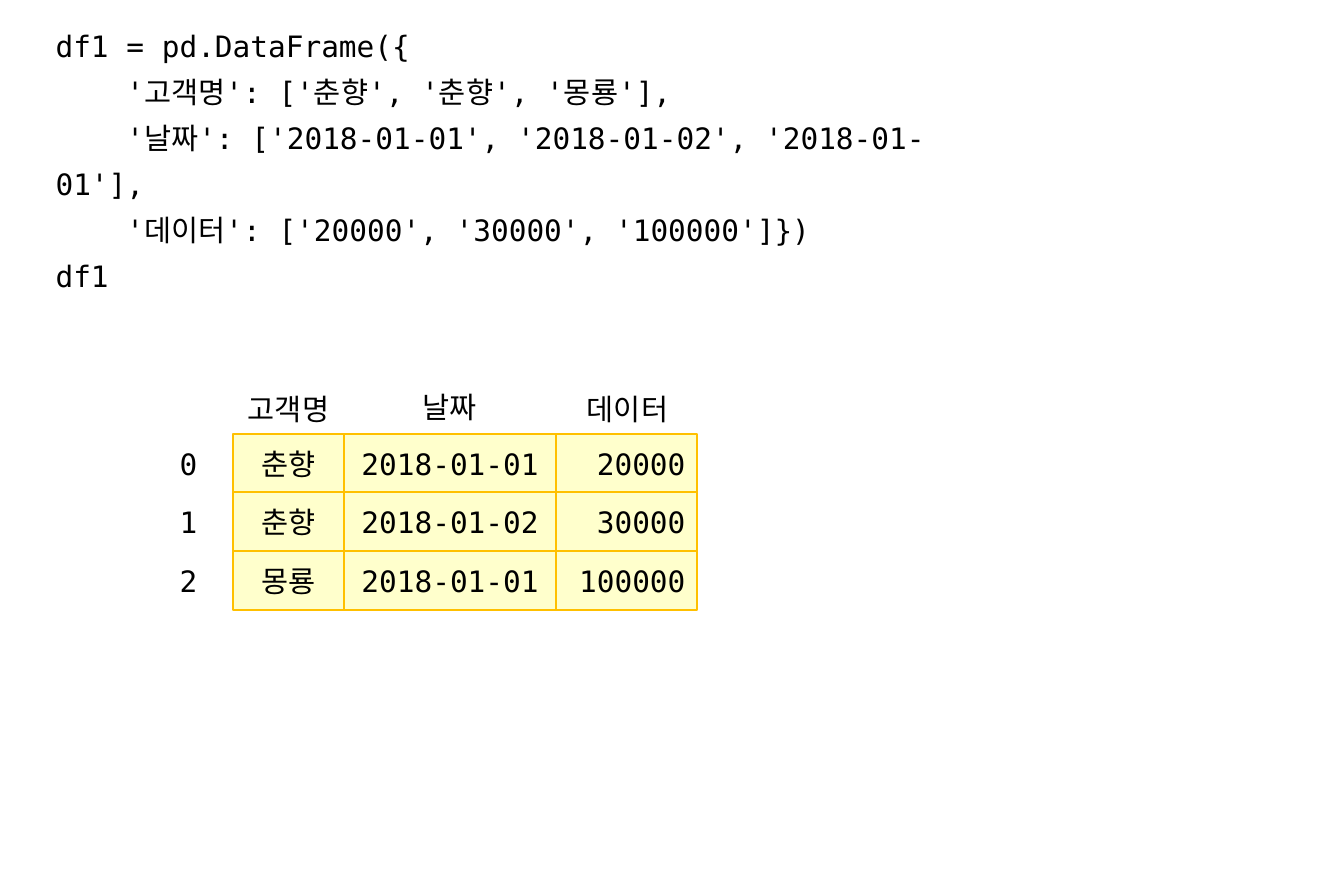
from dataclasses import dataclass
from typing import Any

from pptx import Presentation
from pptx.dml.color import RGBColor
from pptx.enum.shapes import MSO_SHAPE
from pptx.enum.text import MSO_ANCHOR, MSO_AUTO_SIZE, PP_ALIGN
from pptx.util import Emu, Pt

RECTANGLE = MSO_SHAPE.RECTANGLE
TOP, MIDDLE = MSO_ANCHOR.TOP, MSO_ANCHOR.MIDDLE
LEFT, CENTER, RIGHT = PP_ALIGN.LEFT, PP_ALIGN.CENTER, PP_ALIGN.RIGHT
FIXED, GROW = MSO_AUTO_SIZE.NONE, MSO_AUTO_SIZE.SHAPE_TO_FIT_TEXT

EMU_PER_PX = 914400 / 117.7
SLIDE_WIDTH, SLIDE_HEIGHT = 1344, 883
TEXT_COLOR, CELL_FILL, CELL_BORDER = "000000", "FFFFCC", "FFC000"
TEXT_FORMAT = {"name": "DejaVu Sans Mono", "size": Pt(18)}

FIRST_ROW_TOP = 434
THREE_ROWS_HEIGHT = 176
ROW_HEIGHT = 59
INDEX_LEFT, INDEX_WIDTH = 144, 89
HEADER_WIDTH = 151

CODE = """df1 = pd.DataFrame({
    '고객명': ['춘향', '춘향', '몽룡'],
    '날짜': ['2018-01-01', '2018-01-02', '2018-01-01'],
    '데이터': ['20000', '30000', '100000']})
df1"""


@dataclass(frozen=True)
class Box:
    left: int
    top: int
    width: int
    height: int


@dataclass(frozen=True)
class Column:
    header: str
    header_left: int
    header_top: int
    left: int
    width: int
    align: PP_ALIGN
    values: tuple[str, ...]


COLUMNS = (
    Column("고객명", 213, 379, 233, 111, CENTER, ("춘향", "춘향", "몽룡")),
    Column("날짜", 374, 377, 344, 212, CENTER,
           ("2018-01-01", "2018-01-02", "2018-01-01")),
    Column("데이터", 552, 379, 556, 141, RIGHT, ("20000", "30000", "100000")),
)


def px(length: int) -> Emu:
    return Emu(round(length * EMU_PER_PX))


def color(hex_code: str) -> RGBColor:
    return RGBColor.from_string(hex_code)


def place(box: Box) -> tuple[Emu, ...]:
    return px(box.left), px(box.top), px(box.width), px(box.height)


def row_top(row: int) -> int:
    return FIRST_ROW_TOP + row * THREE_ROWS_HEIGHT // 3


def apply_format(target: Any, values: dict[str, Any]) -> None:
    for attribute, value in values.items():
        setattr(target, attribute, value)


def write(shape: Any, text: str, align: PP_ALIGN = CENTER,
          anchor: MSO_ANCHOR = MIDDLE, fit: MSO_AUTO_SIZE = FIXED,
          spacing: float = 1.0) -> None:
    frame = shape.text_frame
    frame.text = text
    apply_format(frame, {"word_wrap": True, "vertical_anchor": anchor,
                         "auto_size": fit})
    for paragraph in frame.paragraphs:
        apply_format(paragraph, {"alignment": align, "line_spacing": spacing})
        for run in paragraph.runs:
            apply_format(run.font, TEXT_FORMAT)
            run.font.color.rgb = color(TEXT_COLOR)


def add_label(slide: Any, box: Box, text: str) -> None:
    write(slide.shapes.add_textbox(*place(box)), text)


def add_cell(slide: Any, box: Box, text: str, align: PP_ALIGN) -> None:
    cell = slide.shapes.add_shape(RECTANGLE, *place(box))
    cell.shadow.inherit = False
    cell.fill.solid()
    cell.fill.fore_color.rgb = color(CELL_FILL)
    cell.line.color.rgb = color(CELL_BORDER)
    cell.line.width = Pt(1.5)
    write(cell, text, align)


def add_code(slide: Any) -> None:
    code = slide.shapes.add_textbox(*place(Box(44, 12, 914, 240)))
    write(code, CODE, LEFT, TOP, GROW, 1.3)


def add_data_frame(slide: Any) -> None:
    for column in COLUMNS:
        header = Box(column.header_left, column.header_top,
                     HEADER_WIDTH, ROW_HEIGHT)
        add_label(slide, header, column.header)
    for row, values in enumerate(zip(*(column.values for column in COLUMNS))):
        top = row_top(row)
        add_label(slide, Box(INDEX_LEFT, top, INDEX_WIDTH, ROW_HEIGHT), str(row))
        for column, value in zip(COLUMNS, values):
            box = Box(column.left, top, column.width, ROW_HEIGHT)
            add_cell(slide, box, value, column.align)


def main() -> None:
    presentation = Presentation()
    presentation.slide_width = px(SLIDE_WIDTH)
    presentation.slide_height = px(SLIDE_HEIGHT)
    slide = presentation.slides.add_slide(presentation.slide_layouts[6])
    add_code(slide)
    add_data_frame(slide)
    presentation.save("out.pptx")


if __name__ == "__main__":
    main()
